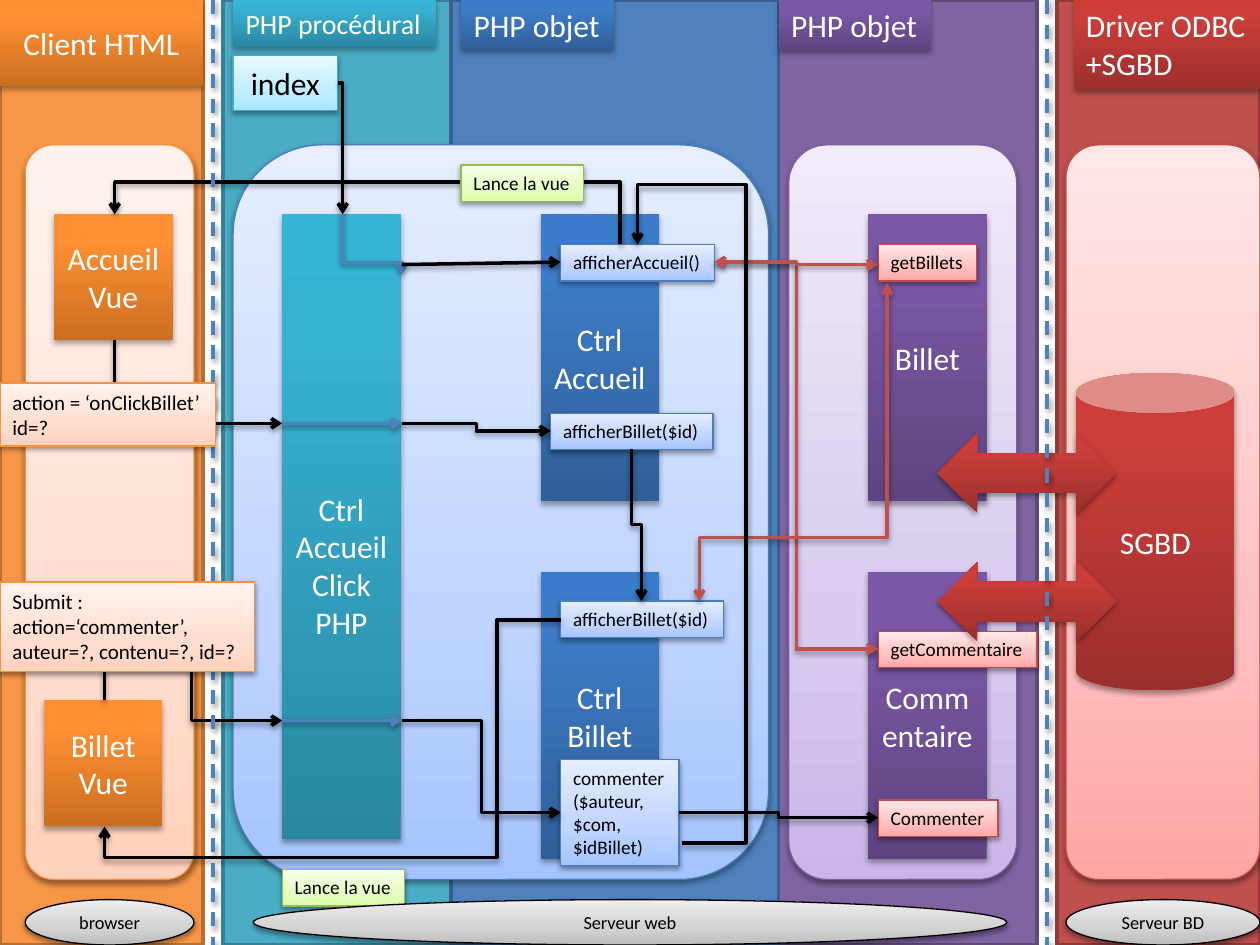
from dataclasses import dataclass

from pptx import Presentation
from pptx.dml.color import RGBColor
from pptx.enum.dml import MSO_LINE
from pptx.enum.shapes import MSO_CONNECTOR, MSO_SHAPE as Kind
from pptx.enum.text import MSO_ANCHOR, MSO_AUTO_SIZE, PP_ALIGN
from pptx.oxml import parse_xml
from pptx.oxml.ns import nsdecls, qn
from pptx.util import Inches, Pt


@dataclass(frozen=True)
class Hue:
    bold: tuple = ()
    pale: tuple = ()
    rim: str = ""
    flat: str = ""
    edge: str = ""


@dataclass(frozen=True)
class Theme:
    font = "Calibri"
    title, banner, note, call, host = 18, 16, 12, 11, 10.5
    heavy, fine = 2, 0.75
    ink, white, blue_line, red_line = "000000", "FFFFFF", "4F81BD", "C0504D"
    orange = Hue(("CC6E20", "FF9034", "FF9136"), ("FFD2BD", "FFDED0", "FFF2ED"),
                 "F69240", "F79646", "B76F34")
    teal = Hue(("2A88A2", "37B1D2", "34B4D6"), ("A7E6FF", "C1EDFF", "E7F8FF"),
               "46AAC5", "4BACC6", "377F92")
    blue = Hue(("2F5F99", "3D7CC7", "3A7CCB"), ("A4C4FF", "BFD4FF", "E6EEFF"),
               "4B7EBC", "4F81BD", "3A5F8C")
    purple = Hue(("5F4480", "7B58A6", "7C57A8"), ("C9B5E8", "D8CBEE", "F0EAF9"),
                 "7D60A0", "8064A2", "5F4A78")
    red = Hue(("9C2F2D", "CB3E3A", "CE3B37"), ("FFA6A5", "FFC0BF", "FFE7E7"),
              "BF4C48", "C0504D", "8E3B39")
    green = Hue(pale=("DAFDA7", "E4FCC2", "F5FFE7"), rim="98B955")
    grey = Hue(pale=("BDBDBD", "D1D1D1", "EEEEEE"), rim="000000")


@dataclass(frozen=True)
class Box:
    left: float
    top: float
    width: float
    height: float

    def inner(self, x, y, width, height):
        """Box at an offset from this box's corner."""
        return Box(self.left + x, self.top + y, width, height)

    def lengths(self):
        return [Inches(v) for v in (self.left, self.top, self.width, self.height)]


THEME = Theme()
rgb = RGBColor.from_string


def cast_shadow(shape, distance, alpha):
    shape.element.spPr.append(parse_xml(
        f'<a:effectLst {nsdecls("a")}><a:outerShdw blurRad="40000" dist="{distance}" '
        f'dir="5400000" rotWithShape="0"><a:srgbClr val="{THEME.ink}">'
        f'<a:alpha val="{alpha}000"/></a:srgbClr></a:outerShdw></a:effectLst>'))


def fill_gradient(shape, colours, middle):
    stops = "".join(f'<a:gs pos="{pos}000"><a:srgbClr val="{colour}"/></a:gs>'
                    for pos, colour in zip((0, middle, 100), colours))
    shape.fill.background()
    props = shape.element.spPr
    props.replace(props.find(qn("a:noFill")), parse_xml(
        f'<a:gradFill {nsdecls("a")} rotWithShape="1"><a:gsLst>{stops}</a:gsLst>'
        '<a:lin ang="16200000" scaled="0"/></a:gradFill>'))


def write(shape, text, size, colour, align):
    frame = shape.text_frame
    frame.text = text
    for para in frame.paragraphs:
        para.alignment = align
        para.font.name, para.font.size = THEME.font, Pt(size)
        para.font.color.rgb = rgb(colour)


def solid(page, box, hue, text="", kind=Kind.RECTANGLE, size=THEME.title):
    """Saturated shape without outline, with centred white text."""
    shape = page.shapes.add_shape(kind, *box.lengths())
    fill_gradient(shape, hue.bold, 80)
    shape.line.fill.background()
    cast_shadow(shape, 23000, 35)
    if text:
        write(shape, text, size, THEME.white, PP_ALIGN.CENTER)
    return shape


def pale(page, box, hue, text="", kind=Kind.RECTANGLE, size=THEME.title):
    """Light outlined shape with centred dark text."""
    shape = page.shapes.add_shape(kind, *box.lengths())
    fill_gradient(shape, hue.pale, 35)
    shape.line.color.rgb, shape.line.width = rgb(hue.rim), Pt(THEME.fine)
    cast_shadow(shape, 20000, 38)
    if text:
        write(shape, text, size, THEME.ink, PP_ALIGN.CENTER)
    return shape


def hug(shape, wrap=False):
    """Turn a shape into a left-aligned label that fits its text."""
    frame = shape.text_frame
    frame.word_wrap, frame.auto_size = wrap, MSO_AUTO_SIZE.SHAPE_TO_FIT_TEXT
    frame.vertical_anchor = MSO_ANCHOR.TOP
    for para in frame.paragraphs:
        para.alignment = PP_ALIGN.LEFT


def tag(page, box, hue, text, size=THEME.call, wrap=False):
    hug(pale(page, box, hue, text, size=size), wrap)


def banner(page, box, hue, text, size=THEME.title):
    hug(solid(page, box, hue, text, size=size))


def panel(page, box, hue):
    pale(page, box, hue, kind=Kind.ROUNDED_RECTANGLE)


def column(page, box, hue):
    shape = page.shapes.add_shape(Kind.RECTANGLE, *box.lengths())
    shape.shadow.inherit = False
    shape.fill.solid()
    shape.fill.fore_color.rgb = rgb(hue.flat)
    shape.line.color.rgb, shape.line.width = rgb(hue.edge), Pt(THEME.heavy)


def link(page, start, end, colour=THEME.ink, bends=1, turn=0, adjust=(),
         ends=("tailEnd",), dash=None):
    """Line from start to end; bends is the preset number, turn counts quarter turns."""
    (x1, y1), (x2, y2) = start, end
    dx, dy = x2 - x1, y2 - y1
    for _ in range(turn):
        dx, dy = dy, -dx
    mid_x, mid_y = (x1 + x2) / 2, (y1 + y2) / 2
    corners = (mid_x - dx / 2, mid_y - dy / 2, mid_x + dx / 2, mid_y + dy / 2)
    kind = MSO_CONNECTOR.STRAIGHT if bends == 1 else MSO_CONNECTOR.ELBOW
    line = page.shapes.add_connector(kind, *map(Inches, corners))
    props = line.element.spPr
    if turn:
        props.find(qn("a:xfrm")).set("rot", str(turn * 5400000))
    if bends > 1:
        shape = props.find(qn("a:prstGeom"))
        shape.set("prst", f"bentConnector{bends}")
        for number, value in enumerate(adjust, 1):
            shape.find(qn("a:avLst")).append(parse_xml(
                f'<a:gd {nsdecls("a")} name="adj{number}" '
                f'fmla="val {round(value * 100000)}"/>'))
    line.line.color.rgb, line.line.width = rgb(colour), Pt(THEME.heavy)
    if dash:
        line.line.dash_style = dash
    for end_name in ends:
        props.find(qn("a:ln")).append(
            parse_xml(f'<a:{end_name} {nsdecls("a")} type="arrow"/>'))
    cast_shadow(line, 20000, 38)


def client(page, box):
    panel(page, box.inner(0.2, 1.15, 1.34, 5.83), THEME.orange)
    solid(page, box.inner(0, 0, 1.61, 0.68), THEME.orange, "Client HTML")
    solid(page, box.inner(0.43, 1.7, 0.94, 1), THEME.orange, "Accueil\nVue")
    solid(page, box.inner(0.35, 5.56, 0.94, 1), THEME.orange, "Billet\nVue")


def server(page, box):
    panel(page, box.inner(0.08, 1.15, 4.25, 5.83), THEME.blue)
    banner(page, box.inner(0.08, 0, 1.61, 0.37), THEME.teal, "PHP procédural", THEME.banner)
    banner(page, box.inner(1.89, 0, 1.21, 0.4), THEME.blue, "PHP objet")
    pale(page, box.inner(0.08, 0.44, 0.83, 0.44), THEME.teal, "index")
    router = solid(page, box.inner(0.47, 1.7, 0.94, 4.96), THEME.teal,
                   "Ctrl\nAccueil\nClick\nPHP")
    router.text_frame.margin_top = Inches(0.66)
    for y, text in ((1.7, "Ctrl\nAccueil"), (4.54, "Ctrl\nBillet")):
        solid(page, box.inner(2.52, y, 0.94, 2.28), THEME.blue, text)
    for x, y, width, text in ((2.68, 1.94, 1.22, "afficherAccueil()"),
                              (2.6, 3.28, 1.29, "afficherBillet($id)"),
                              (2.68, 4.77, 1.29, "afficherBillet($id)")):
        tag(page, box.inner(x, y, width, 0.29), THEME.blue, text)
    tag(page, box.inner(2.68, 6.03, 0.94, 0.84), THEME.blue,
        "commenter($auteur,\n$com,\n$idBillet)", wrap=True)


def models(page, box):
    panel(page, box.inner(0.08, 1.15, 1.81, 5.83), THEME.purple)
    banner(page, box.inner(0, 0, 1.21, 0.4), THEME.purple, "PHP objet")
    for y, text in ((1.7, "Billet"), (4.54, "Commentaire")):
        solid(page, box.inner(0.71, y, 0.94, 2.28), THEME.purple, text)
    for y, width, text in ((1.94, 0.78, "getBillets"), (5.01, 1.26, "getCommentaire"),
                           (6.35, 0.95, "Commenter")):
        tag(page, box.inner(0.79, y, width, 0.29), THEME.red, text)


def database(page, box):
    panel(page, box.inner(0.07, 1.15, 1.54, 5.83), THEME.red)
    banner(page, box.inner(0.13, 0, 1.48, 0.71), THEME.red, "Driver ODBC\n+SGBD")
    solid(page, box.inner(0.15, 2.96, 1.26, 2.52), THEME.red, "SGBD", Kind.CAN)
    for y in (3.44, 4.46):
        solid(page, box.inner(-0.95, y, 1.42, 0.63), THEME.red, kind=Kind.LEFT_RIGHT_ARROW)


def calls(page):
    """Arrows between the regions, in page coordinates."""
    both = ("headEnd", "tailEnd")
    link(page, (0.91, 2.7), (2.24, 3.36), bends=2, turn=3)
    link(page, (2.68, 0.66), (2.72, 1.7), bends=2)
    link(page, (5.01, 3.56), (5.09, 4.77), bends=3, turn=3)
    link(page, (4.92, 1.94), (0.91, 1.7), bends=4, turn=2, adjust=(0, 2.06))
    link(page, (4.45, 4.92), (0.83, 6.56), bends=4, turn=2, adjust=(0.14, 1.15))
    link(page, (0.83, 5.56), (2.24, 5.72), bends=4, turn=3, adjust=(-1.59, 0.49))
    link(page, (2.72, 1.7), (3.19, 2.18), THEME.blue_line, 3, 3, (0.8,))
    for y in (3.36, 5.72):
        link(page, (2.24, y), (3.19, y), THEME.blue_line)
    link(page, (3.19, 2.1), (4.45, 2.08))
    for start, end in (((3.19, 3.36), (4.37, 3.42)), ((3.19, 5.72), (4.45, 6.45)),
                       ((5.39, 6.45), (6.97, 6.49))):
        link(page, start, end, bends=3)
    for y in (5.15, 2.1):
        link(page, (5.67, 2.08), (6.97, y), THEME.red_line, 3, ends=both)
    link(page, (5.55, 4.77), (7.04, 2.25), THEME.red_line, 3, 1, (0.2,), both)
    link(page, (5.41, 6.69), (5.06, 1.94), bends=5, turn=3, adjust=(0, -1.46, 1.1))
    for x in (1.69, 8.31):
        link(page, (x, 0), (x, 7.5), THEME.blue_line, ends=(), dash=MSO_LINE.DASH)


def notes_on_calls(page, box):
    for x, y in ((3.66, 1.31), (2.24, 6.9)):
        tag(page, box.inner(x, y, 0.97, 0.29), THEME.green, "Lance la vue")
    tag(page, box.inner(0, 3.04, 1.71, 0.5), THEME.orange,
        "action = ‘onClickBillet’\nid=?", THEME.note)
    tag(page, box.inner(0, 4.62, 2.02, 0.71), THEME.orange,
        "Submit :\naction=‘commenter’,\nauteur=?, contenu=?, id=?", THEME.note, wrap=True)


def hosts(page, box):
    for x, width, text in ((0.2, 1.34, "browser"), (2.01, 5.98, "Serveur web"),
                           (8.46, 1.54, "Serveur BD")):
        pale(page, box.inner(x, 0, width, box.height), THEME.grey, text, Kind.OVAL, THEME.host)


def main():
    deck = Presentation()
    deck.slide_width, deck.slide_height = Inches(10), Inches(7.5)
    page = deck.slides.add_slide(deck.slide_layouts[6])
    for x, width, hue in ((6.18, 2.05, THEME.purple), (8.39, 1.61, THEME.red),
                          (0, 1.61, THEME.orange), (1.77, 1.81, THEME.teal),
                          (3.58, 2.6, THEME.blue)):
        column(page, Box(x, 0, width, 7.5), hue)
    client(page, Box(0, 0, 1.61, 7.5))
    server(page, Box(1.77, 0, 4.41, 7.5))
    models(page, Box(6.18, 0, 2.05, 7.5))
    database(page, Box(8.39, 0, 1.61, 7.5))
    calls(page)
    notes_on_calls(page, Box(0, 0, 10, 7.5))
    hosts(page, Box(0, 7.14, 10, 0.36))
    deck.save("out.pptx")


if __name__ == "__main__":
    main()
